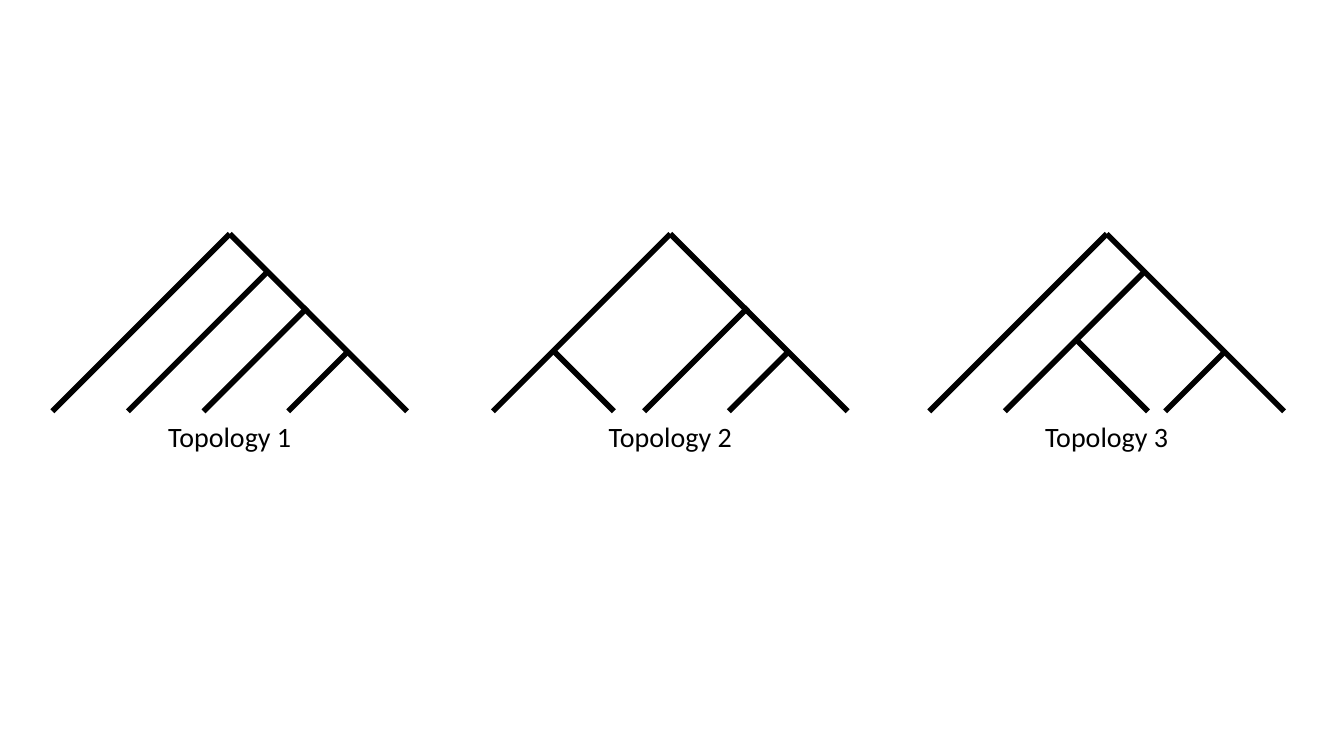
from pptx import Presentation
from pptx.dml.color import RGBColor
from pptx.enum.shapes import MSO_CONNECTOR
from pptx.enum.text import MSO_AUTO_SIZE, PP_ALIGN
from pptx.oxml.ns import qn
from pptx.util import Pt
from lxml import etree

STRAIGHT = MSO_CONNECTOR.STRAIGHT
GROW = MSO_AUTO_SIZE.SHAPE_TO_FIT_TEXT
CENTER = PP_ALIGN.CENTER

COLORS = {"ink": "000000"}
FONT = {"name": "Calibri", "size": Pt(20)}
WIDTH, HEIGHT = 960, 540
BASE = 293.8
HALF = 126.7
SPAN = 2 * HALF

# A branch is (foot offset, reach); each rises at 45 degrees, leftward if reach < 0.
SIDES = [(0, HALF), (SPAN, -HALF)]
OUTER = (54, 100.4)
MIDDLE = (108, 74.2)
INNER = (168.5, 43.2)
TREES = [
    ("Topology 1", 37.4, [MIDDLE, INNER, OUTER]),
    ("Topology 2", 352.1, [MIDDLE, INNER, (86.4, -43.2)]),
    ("Topology 3", 663.8, [INNER, OUTER, (156.2, -50.4)]),
]


class Painter:
    def __init__(self, slide):
        self.slide = slide
        self.ink = RGBColor.from_string(COLORS["ink"])

    def branch(self, group, foot, reach):
        line = group.shapes.add_connector(
            STRAIGHT, Pt(foot), Pt(BASE), Pt(foot + reach), Pt(BASE - abs(reach)))
        line.line.color.rgb = self.ink
        line.line.width = Pt(4)
        etree.SubElement(line._element.spPr, qn("a:effectLst"))

    def label(self, group, text, left):
        box = group.shapes.add_textbox(Pt(left), Pt(295.9), Pt(SPAN), Pt(31.5))
        frame = box.text_frame
        for key, value in {"word_wrap": True, "auto_size": GROW}.items():
            setattr(frame, key, value)
        para = frame.paragraphs[0]
        para.alignment = CENTER
        run = para.add_run()
        run.text = text
        for key, value in FONT.items():
            setattr(run.font, key, value)
        run.font.color.rgb = self.ink

    def tree(self, name, left, inner):
        group = self.slide.shapes.add_group_shape()
        for foot, reach in SIDES + inner:
            self.branch(group, left + foot, reach)
        self.label(group, name, left)


def main():
    deck = Presentation()
    deck.slide_width, deck.slide_height = Pt(WIDTH), Pt(HEIGHT)
    painter = Painter(deck.slides.add_slide(deck.slide_layouts[6]))
    for name, left, inner in TREES:
        painter.tree(name, left, inner)
    deck.save("out.pptx")


if __name__ == "__main__":
    main()
